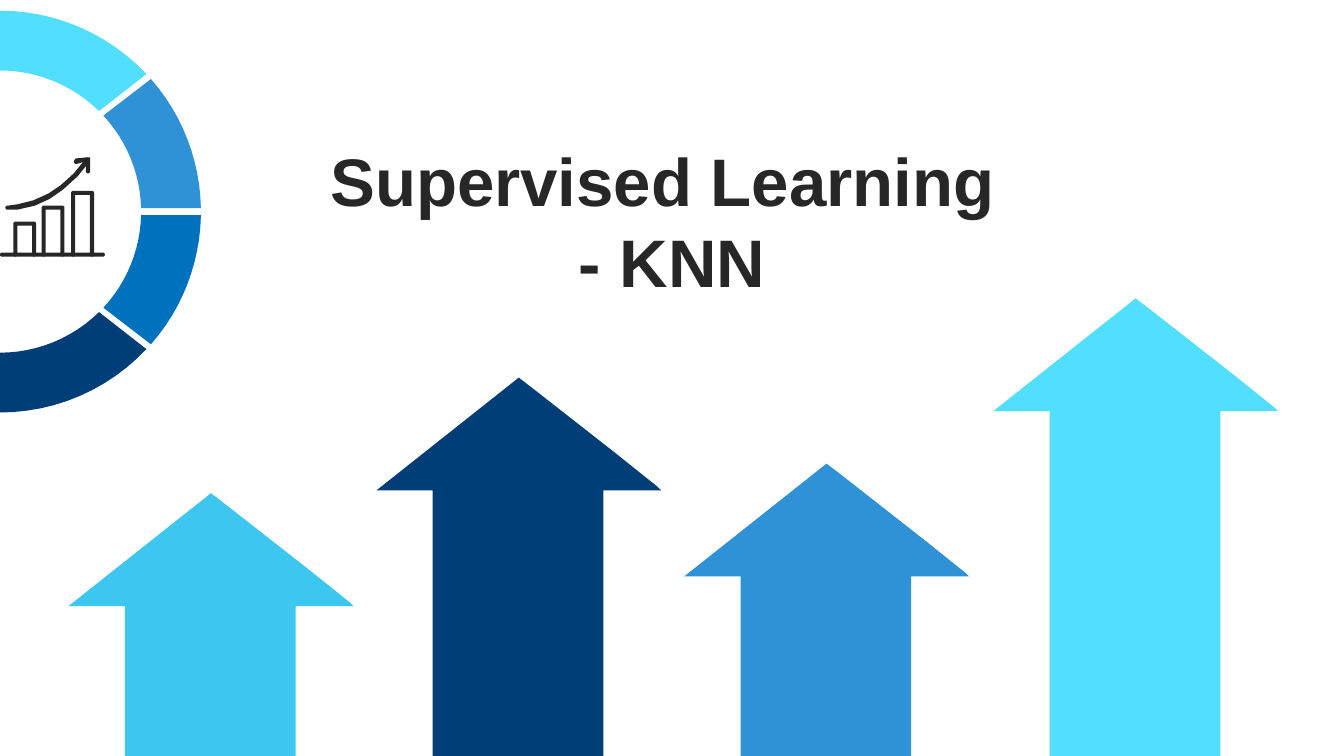
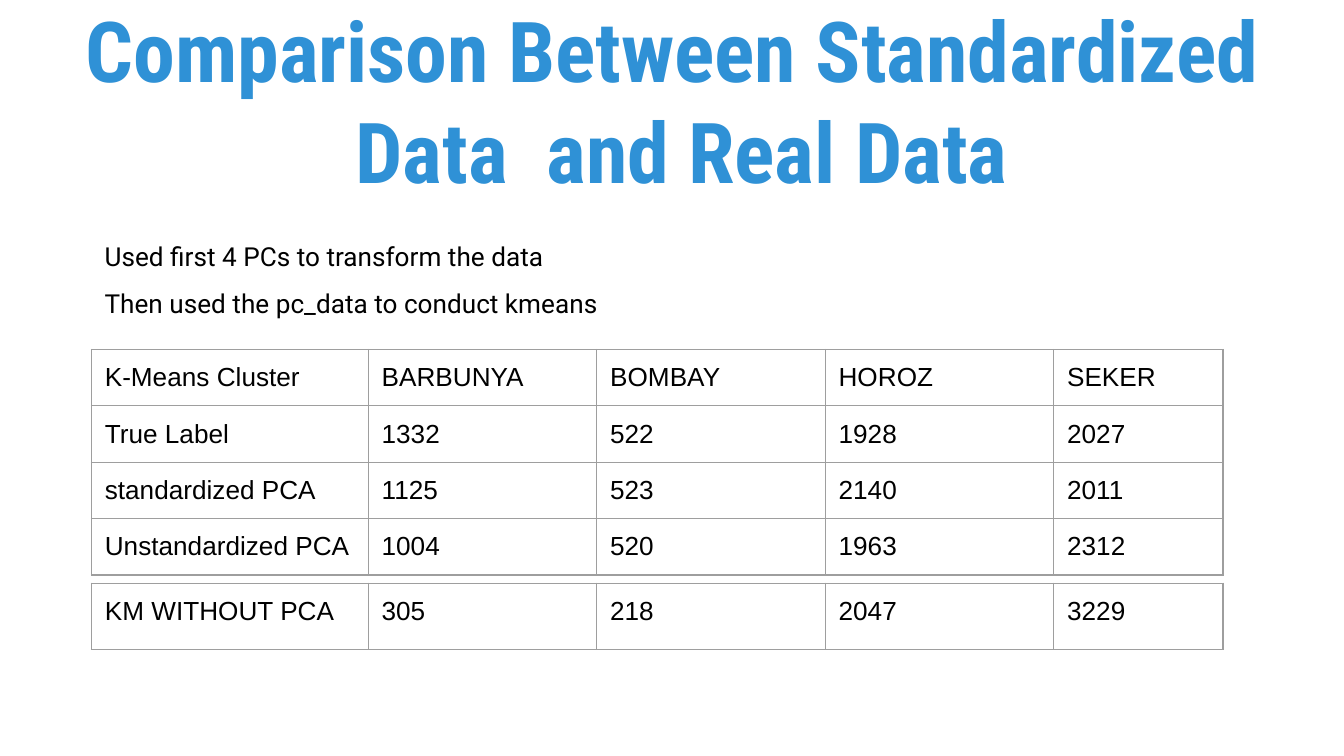
from math import cos, radians, sin
from lxml.etree import SubElement
from pptx import Presentation
from pptx.dml.color import RGBColor
from pptx.enum.text import MSO_ANCHOR as ANCHOR, MSO_AUTO_SIZE as AUTO, PP_ALIGN as ALIGN
from pptx.oxml.ns import qn
from pptx.util import Pt

PX = 9144
INK = RGBColor(0x27, 0x27, 0x27)
BLACK = RGBColor(0, 0, 0)
CYAN = RGBColor(0x52, 0xDE, 0xFF)
SKY = RGBColor(0x3D, 0xC6, 0xEF)
BLUE = RGBColor(0x2F, 0x91, 0xD6)
ROYAL = RGBColor(0x00, 0x71, 0xBC)
NAVY = RGBColor(0x00, 0x3E, 0x78)
GRID = RGBColor(0x9E, 0x9E, 0x9E)


def add_polygon(shapes, points, color):
    points = [(round(x * PX), round(y * PX)) for x, y in points]
    builder = shapes.build_freeform(*points[0])
    builder.add_line_segments(points[1:], close=True)
    sp = builder.convert_to_shape()
    sp.shadow.inherit = False
    sp.fill.solid()
    sp.fill.fore_color.rgb = color
    sp.line.fill.background()


def add_run(p, text, size, font, color, bold=False):
    r = p.add_run()
    r.text = text
    r.font.size = Pt(size)
    r.font.name = font
    r.font.color.rgb = color
    r.font.bold = bold


prs = Presentation()
prs.slide_width = 1000 * PX
prs.slide_height = prs.slide_width * 9 // 16
cover = prs.slides.add_slide(prs.slide_layouts[6])
comparison = prs.slides.add_slide(prs.slide_layouts[6])

cover_title = [["Supervised Learning "], ["- KNN"]]
comparison_title = [["Comparison Between Standardized", " Data  and Real Data"]]
method = [["Used first 4 PCs to transform the data"], ["Then used the pc_data to conduct kmeans"]]
texts = [
    (cover, (80, 73, 840, 161), ANCHOR.BOTTOM, ALIGN.CENTER, 1, cover_title, (36, "Arial", INK, True)),
    (comparison, (50, 57, 900, 102), ANCHOR.BOTTOM, ALIGN.CENTER, 1, comparison_title,
     (45, "Roboto Condensed", BLUE, True)),
    (comparison, (68, 157, 785, 79), ANCHOR.TOP, ALIGN.LEFT, 1.5, method, (14, "Roboto", BLACK)),
]
for s, box, anchor, align, spacing, paragraphs, style in texts:
    tf = s.shapes.add_textbox(*[v * PX for v in box]).text_frame
    tf.word_wrap = True
    tf.auto_size = AUTO.NONE
    tf.vertical_anchor = anchor
    tf.margin_left = tf.margin_right = tf.margin_top = tf.margin_bottom = 10 * PX
    for i, lines in enumerate(paragraphs):
        p = tf.add_paragraph() if i else tf.paragraphs[0]
        p.alignment = align
        p.line_spacing = spacing
        for j, line in enumerate(lines):
            if j:
                p.add_line_break()
            add_run(p, line, *style)

arrows = [(845, 222, 596, CYAN), (157, 367, 571, SKY), (615, 345, 588, BLUE), (386, 281, 593, NAVY)]
for x, top, bottom, color in arrows:
    h = bottom - top
    outline = [(0, 0), (-106, 84), (-64, 84), (-64, h), (63, h), (63, 84),
               (106, 84), (103, 81), (73, 57), (13, 10)]
    add_polygon(cover.shapes, [(x + dx, top + dy) for dx, dy in outline], color)

STEPS = 12
ring = [
    (ROYAL, 1, (1, 41.3), (1.4, 42.9)),
    (BLUE, -1, (1, 41.3), (1.4, 42.9)),
    (CYAN, -1, (43.2, 90), (45.4, 90)),
    (NAVY, 1, (43.2, 90), (45.4, 90)),
]
for color, side, outer, inner in ring:
    points = []
    for radius, start, end in ((149.5, *outer), (105, *reversed(inner))):
        for i in range(STEPS + 1):
            a = radians(start + (end - start) * i / STEPS)
            points.append((radius * cos(a), 157.5 + side * radius * sin(a)))
    add_polygon(cover.shapes, points, color)

icon = cover.shapes.add_group_shape().shapes
baseline = [(1, 188), (0, 189), (0, 190), (1, 191), (77, 191), (78, 190), (78, 189), (77, 188)]
trend = [(65, 117), (64, 118), (63, 119), (55, 129), (45, 138), (36, 144), (25, 149),
         (13, 152), (6, 153), (5, 153), (4, 154), (4, 155), (5, 156), (6, 156),
         (13, 156), (26, 153), (37, 148), (47, 141), (58, 131), (66, 121), (67, 119), (66, 118)]
trend_head = [(65, 117), (56, 118), (55, 120), (55, 121), (56, 122), (57, 122), (64, 120),
              (64, 128), (65, 129), (66, 129), (67, 128), (67, 117)]
bars = []
for x, top in ((10, 165), (31, 153), (53, 142)):
    bars.append([(x + 1, top), (x, top + 1), (x, 190), (x + 1, 191), (x + 2, 191), (x + 3, 190),
                 (x + 3, top + 3), (x + 14, top + 3), (x + 14, 190), (x + 15, 191),
                 (x + 16, 191), (x + 17, 190), (x + 17, top + 1), (x + 16, top)])
for points in [baseline, *bars, trend, trend_head]:
    add_polygon(icon, points, INK)

columns = [206, 170, 170, 170, 126]
clusters = [
    ["K-Means Cluster", "BARBUNYA", "BOMBAY", "HOROZ", "SEKER"],
    ["True Label", "1332", "522", "1928", "2027"],
    ["standardized PCA", "1125", "523", "2140", "2011"],
    ["Unstandardized PCA", "1004", "520", "1963", "2312"],
]
without_pca = [["KM WITHOUT PCA", "305", "218", "2047", "3229"]]
for top, row_height, rows in ((260, 42, clusters), (434, 49, without_pca)):
    table = comparison.shapes.add_table(
        len(rows), len(columns), 68 * PX, top * PX, sum(columns) * PX, len(rows) * row_height * PX).table
    table.first_row = table.horz_banding = False
    for column, width in zip(table.columns, columns):
        column.width = width * PX
    for row, values in zip(table.rows, rows):
        row.height = row_height * PX
        for cell, value in zip(row.cells, values):
            cell.margin_left = cell.margin_right = cell.margin_top = cell.margin_bottom = 10 * PX
            tcPr = cell._tc.get_or_add_tcPr()
            for edge in ("a:lnL", "a:lnR", "a:lnT", "a:lnB"):
                ln = SubElement(tcPr, qn(edge), w=str(Pt(0.75)))
                fill = SubElement(ln, qn("a:solidFill"))
                SubElement(fill, qn("a:srgbClr"), val=str(GRID))
            cell.fill.background()
            add_run(cell.text_frame.paragraphs[0], value, 14, "Arial", BLACK)

prs.save("out.pptx")
